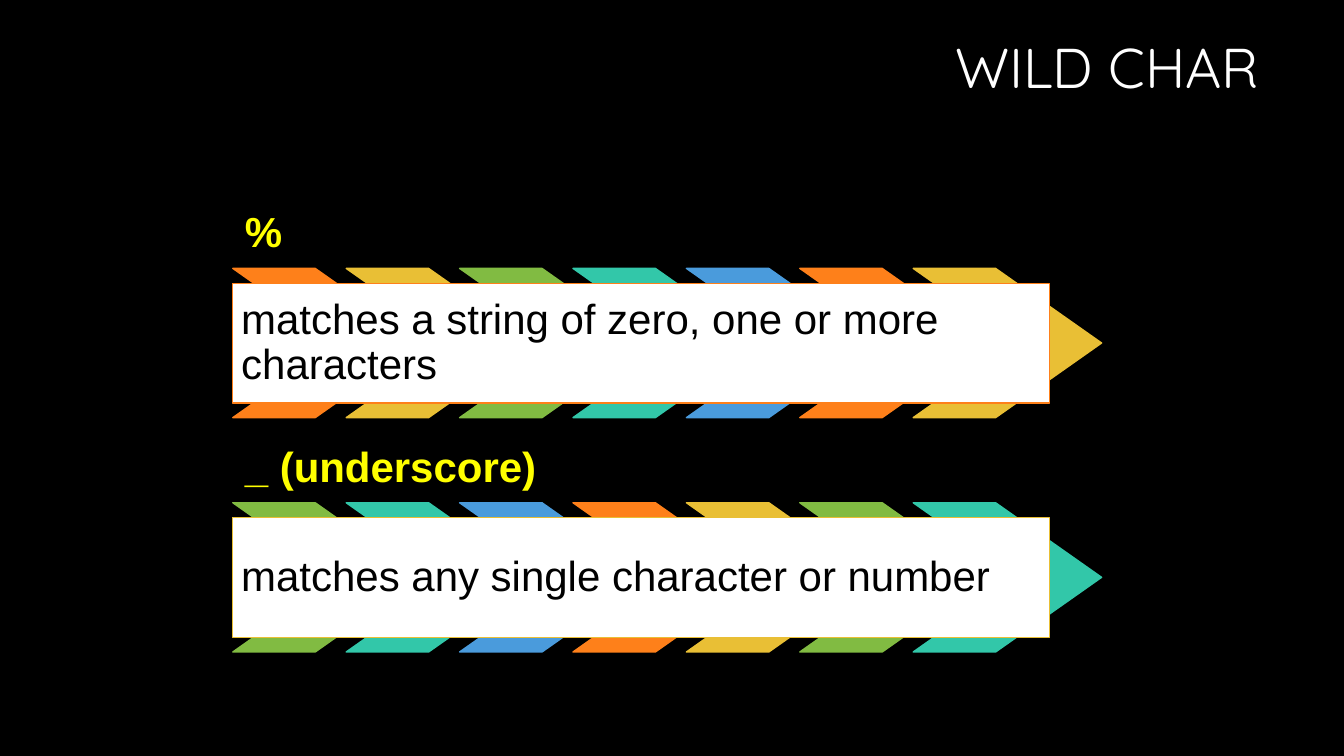
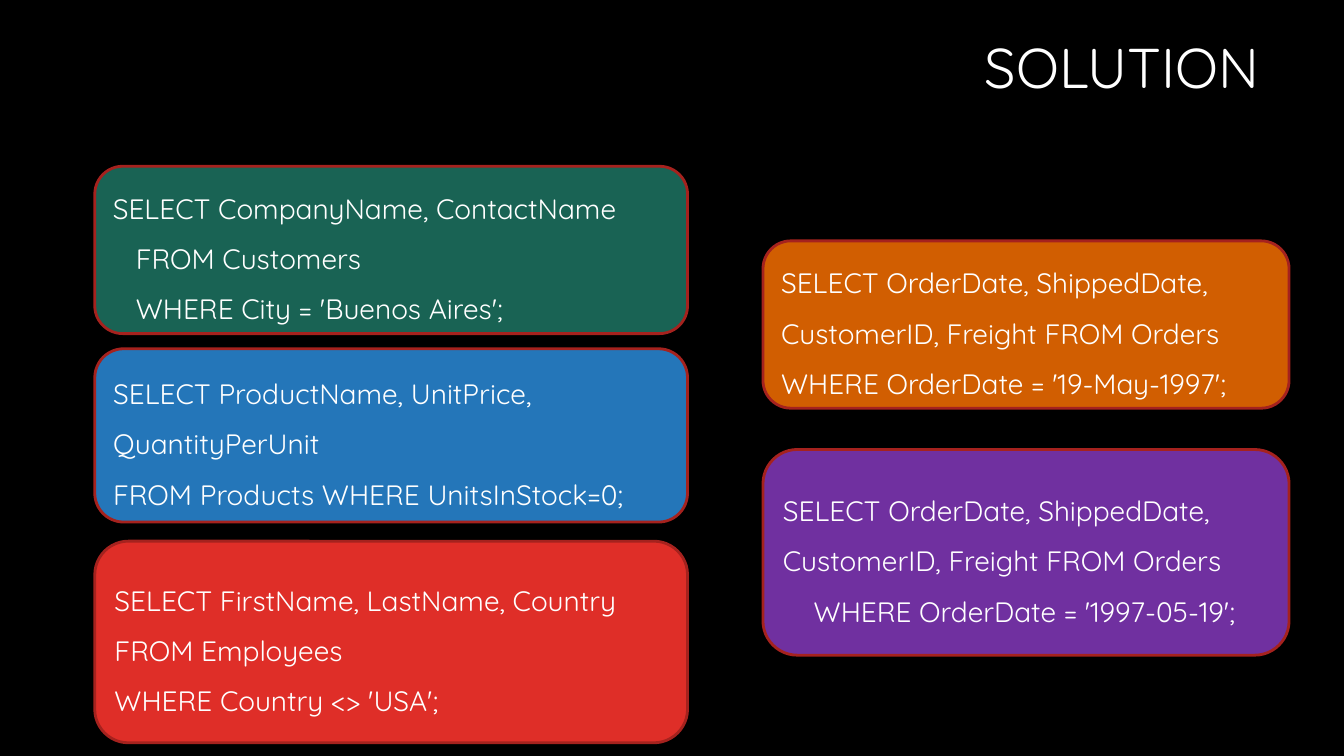
from pptx import Presentation
from pptx.dml.color import RGBColor
from pptx.enum.shapes import MSO_SHAPE
from pptx.enum.text import MSO_ANCHOR, PP_ALIGN
from pptx.util import Pt

BLACK = RGBColor(0x00, 0x00, 0x00)
WHITE = RGBColor(0xFF, 0xFF, 0xFF)
YELLOW = RGBColor(0xFF, 0xFF, 0x00)
ORANGE = RGBColor(0xFE, 0x80, 0x1A)
GOLD = RGBColor(0xE9, 0xBF, 0x35)
GREEN = RGBColor(0x81, 0xBB, 0x42)
TEAL = RGBColor(0x32, 0xC7, 0xA9)
BLUE = RGBColor(0x4A, 0x9B, 0xDC)
DARK_RED = RGBColor(0xA5, 0x22, 0x1E)
CARD_GREEN = RGBColor(0x19, 0x63, 0x54)
CARD_BLUE = RGBColor(0x24, 0x76, 0xB9)
CARD_RED = RGBColor(0xDF, 0x2E, 0x28)
CARD_ORANGE = RGBColor(0xD1, 0x5E, 0x01)
CARD_PURPLE = RGBColor(0x70, 0x30, 0xA0)

ACCENTS = [ORANGE, GOLD, GREEN, TEAL, BLUE]
HEADING_FONT = "Quicksand"
BODY_FONT = "Arial"

BAND_LEFT = 166.3
BAND_TOP = 139.5
BAND_PITCH = 167.4
CHEVRON_COUNT = 7
CHEVRON_STEP = 81

WILDCARDS = [
    ("%", "matches a string of zero, one or more characters"),
    ("_ (underscore)", "matches any single character or number"),
]

# Each card: left, top, width, height, fill, then (indent, line) pairs
QUERIES = [
    (67.7, 118.8, 423.4, 119.5, CARD_GREEN, [
        (0, "SELECT CompanyName, ContactName"),
        (16.4, "FROM Customers"),
        (16.4, "WHERE City = 'Buenos Aires';")]),
    (67.7, 249.1, 423.4, 123.8, CARD_BLUE, [
        (0, "SELECT ProductName, UnitPrice, QuantityPerUnit"),
        (0, "FROM Products WHERE UnitsInStock=0;")]),
    (67.7, 386.6, 423.4, 144, CARD_RED, [
        (0, "SELECT FirstName, LastName, Country"),
        (0, "FROM Employees"),
        (0, "WHERE Country <> 'USA';")]),
    (545, 172.1, 375.8, 119.5, CARD_ORANGE, [
        (0, "SELECT OrderDate, ShippedDate, CustomerID, Freight FROM Orders"),
        (0, "WHERE OrderDate = '19-May-1997';")]),
    (545, 321.1, 375.8, 146.9, CARD_PURPLE, [
        (0, "SELECT OrderDate, ShippedDate, CustomerID, Freight FROM Orders"),
        (22, "WHERE OrderDate = '1997-05-19';")]),
]


class Deck:
    def __init__(self):
        self.presentation = Presentation()
        self.presentation.slide_width = Pt(960)
        self.presentation.slide_height = Pt(540)
        self.slide = None

    def start_slide(self, title):
        blank = self.presentation.slide_layouts[6]
        self.slide = self.presentation.slides.add_slide(blank)
        background = self.slide.background.fill
        background.solid()
        background.fore_color.rgb = BLACK
        self.text_box(228.2, -0.7, 678.2, 101.5, title, 40, WHITE,
                      font=HEADING_FONT, align=PP_ALIGN.RIGHT)

    def set_lines(self, holder, lines, size, color, font, bold=False,
                  align=PP_ALIGN.LEFT, spacing=0.9, anchor=MSO_ANCHOR.MIDDLE,
                  insets=(7.2, 3.6)):
        """Fill a shape with (indent, line) pairs, one paragraph each."""
        frame = holder.text_frame
        frame.word_wrap = True
        frame.vertical_anchor = anchor
        frame.margin_left = frame.margin_right = Pt(insets[0])
        frame.margin_top = frame.margin_bottom = Pt(insets[1])
        frame.text = "\n".join(line for _, line in lines)
        for paragraph, (indent, _) in zip(frame.paragraphs, lines):
            paragraph.alignment = align
            paragraph.line_spacing = spacing
            if indent:
                paragraph._p.get_or_add_pPr().set("marL", str(Pt(indent)))
            for run in paragraph.runs:
                run.font.name = font
                run.font.size = Pt(size)
                run.font.bold = bold
                run.font.color.rgb = color

    def text_box(self, left, top, width, height, text, size, color, **style):
        box = self.slide.shapes.add_textbox(
            Pt(left), Pt(top), Pt(width), Pt(height))
        self.set_lines(box, [(0, text)], size, color, **style)

    def shape(self, preset, left, top, width, height, fill, line, weight=1):
        shape = self.slide.shapes.add_shape(
            preset, Pt(left), Pt(top), Pt(width), Pt(height))
        shape.shadow.inherit = False
        shape.fill.solid()
        shape.fill.fore_color.rgb = fill
        shape.line.color.rgb = line
        shape.line.width = Pt(weight)
        return shape

    def wildcard_band(self, row, symbol, meaning):
        """Symbol above a white panel that lies over a row of chevrons."""
        top = BAND_TOP + row * BAND_PITCH
        self.text_box(BAND_LEFT, top, 576, 52.5, symbol, 30, YELLOW,
                      font=BODY_FONT, bold=True, anchor=MSO_ANCHOR.BOTTOM,
                      insets=(8.6, 8.6))
        for column in range(CHEVRON_COUNT):
            color = ACCENTS[(row * CHEVRON_COUNT + column) % len(ACCENTS)]
            chevron = self.shape(
                MSO_SHAPE.CHEVRON, BAND_LEFT + column * CHEVRON_STEP,
                top + 52.2, 134.6, 106.6, color, color)
            chevron.adjustments[0] = 0.71
        panel = self.shape(MSO_SHAPE.RECTANGLE, BAND_LEFT, top + 62.9,
                           583.2, 85.5, WHITE, ACCENTS[row])
        self.set_lines(panel, [(0, meaning)], 30, BLACK, BODY_FONT,
                       insets=(6, 6))

    def query_card(self, left, top, width, height, fill, lines):
        card = self.shape(MSO_SHAPE.ROUNDED_RECTANGLE, left, top, width,
                          height, fill, DARK_RED, weight=2)
        self.set_lines(card, lines, 20, WHITE, HEADING_FONT, spacing=1.5)


def main():
    deck = Deck()
    deck.start_slide("WILD CHAR")
    for row, (symbol, meaning) in enumerate(WILDCARDS):
        deck.wildcard_band(row, symbol, meaning)

    deck.start_slide("SOLUTION")
    for query in QUERIES:
        deck.query_card(*query)

    deck.presentation.save("out.pptx")


if __name__ == "__main__":
    main()
